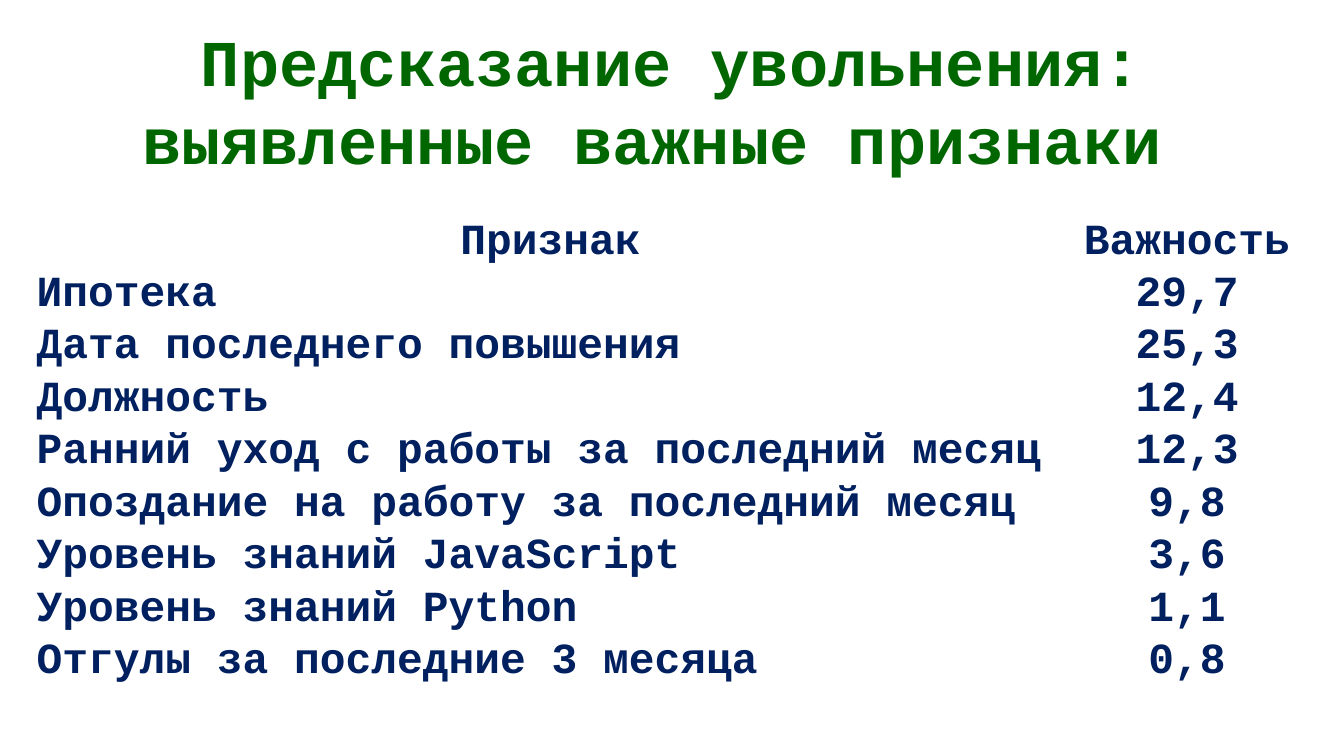
from dataclasses import dataclass

from pptx import Presentation
from pptx.dml.color import RGBColor
from pptx.enum.text import MSO_ANCHOR, PP_ALIGN
from pptx.util import Pt

LEFT, CENTER = PP_ALIGN.LEFT, PP_ALIGN.CENTER
TOP, BOTTOM = MSO_ANCHOR.TOP, MSO_ANCHOR.BOTTOM
BLANK_LAYOUT = 6


@dataclass(frozen=True)
class Theme:
    font: str = "Courier New"
    title_color: RGBColor = RGBColor(0x00, 0x66, 0x00)
    table_color: RGBColor = RGBColor(0x00, 0x20, 0x60)
    title_size: float = 35
    table_size: float = 23


THEME = Theme()

# The trailing space shifts the centred second line slightly to the left.
TITLE_LINES = ["Предсказание увольнения:", "выявленные важные признаки "]
HEADER = ("Признак", "Важность")
FEATURES = [
    ("Ипотека", "29,7"),
    ("Дата последнего повышения", "25,3"),
    ("Должность", "12,4"),
    ("Ранний уход с работы за последний месяц", "12,3"),
    ("Опоздание на работу за последний месяц", "9,8"),
    ("Уровень знаний JavaScript", "3,6"),
    ("Уровень знаний Python", "1,1"),
    ("Отгулы за последние 3 месяца", "0,8"),
]
COLUMN_WIDTHS = (552, 130)
ROW_HEIGHT = 28.1


def add_run(paragraph, text, size, color):
    run = paragraph.add_run()
    run.text = text
    run.font.name = THEME.font
    run.font.size = Pt(size)
    run.font.bold = True
    run.font.color.rgb = color


def add_title(slide, lines, left, top, width, height):
    frame = slide.shapes.add_textbox(Pt(left), Pt(top), Pt(width), Pt(height)).text_frame
    frame.word_wrap = True
    frame.vertical_anchor = TOP
    frame.margin_left = frame.margin_right = frame.margin_bottom = Pt(7.2)
    frame.margin_top = Pt(10.8)
    paragraph = frame.paragraphs[0]
    paragraph.alignment = CENTER
    paragraph.line_spacing = Pt(42.3)
    for index, line in enumerate(lines):
        if index:
            paragraph.add_line_break()
        add_run(paragraph, line, THEME.title_size, THEME.title_color)


def fill_cell(cell, text, alignment):
    cell.fill.background()
    cell.vertical_anchor = BOTTOM
    cell.margin_left = cell.margin_right = cell.margin_top = Pt(0.7)
    cell.margin_bottom = Pt(0)
    paragraph = cell.text_frame.paragraphs[0]
    paragraph.alignment = alignment
    add_run(paragraph, text, THEME.table_size, THEME.table_color)


def add_feature_table(slide, rows, left, top):
    table = slide.shapes.add_table(
        len(rows), len(COLUMN_WIDTHS), Pt(left), Pt(top),
        Pt(sum(COLUMN_WIDTHS)), Pt(ROW_HEIGHT * len(rows)),
    ).table
    table.first_row = table.horz_banding = False
    for column, width in zip(table.columns, COLUMN_WIDTHS):
        column.width = Pt(width)
    for row_index, values in enumerate(rows):
        table.rows[row_index].height = Pt(ROW_HEIGHT)
        for column_index, text in enumerate(values):
            is_feature_name = row_index > 0 and column_index == 0
            fill_cell(table.cell(row_index, column_index), text,
                      LEFT if is_feature_name else CENTER)


def main():
    presentation = Presentation()
    presentation.slide_width = Pt(720)
    presentation.slide_height = Pt(405)
    slide = presentation.slides.add_slide(presentation.slide_layouts[BLANK_LAYOUT])
    add_feature_table(slide, [HEADER, *FEATURES], left=19, top=115)
    add_title(slide, TITLE_LINES, left=0, top=0, width=720, height=93)
    presentation.save("out.pptx")


if __name__ == "__main__":
    main()
